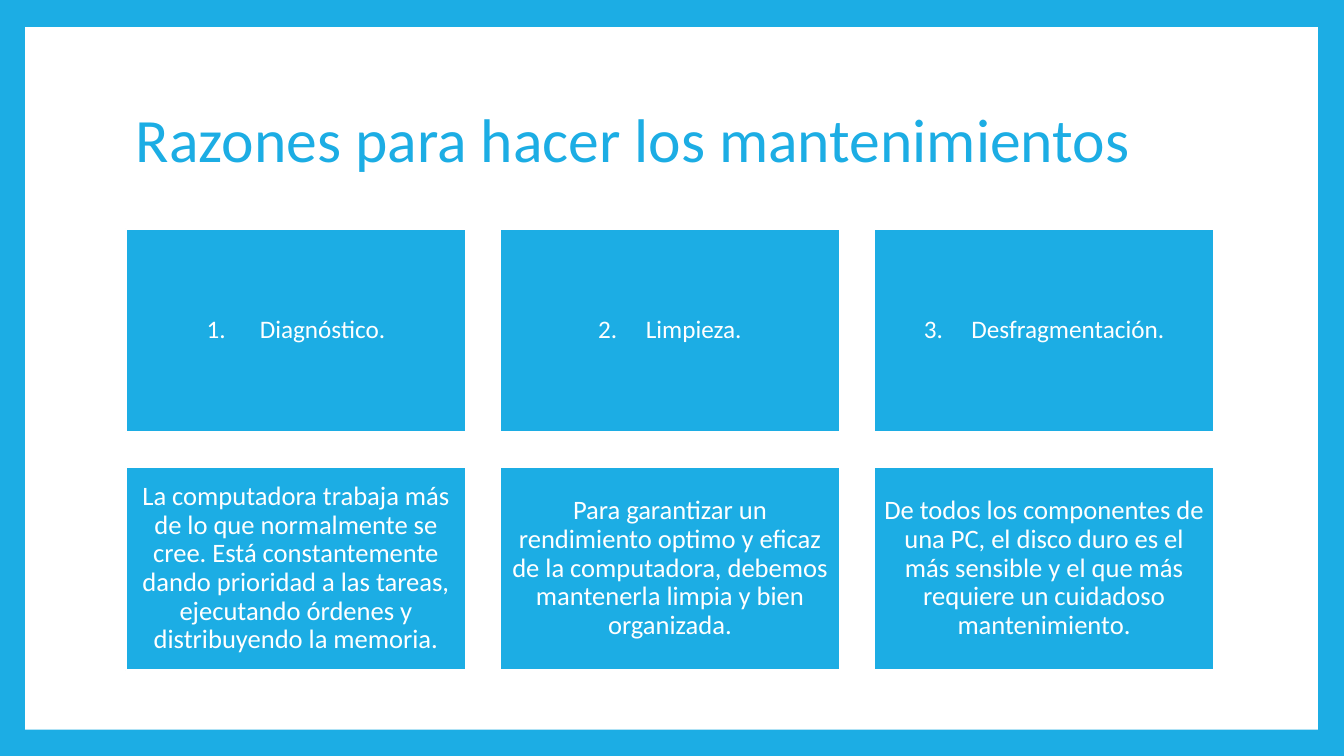
import pptx
import pptx.util
import pptx.dml.color
import pptx.enum.shapes
import pptx.enum.text

Inches, Pt = pptx.util.Inches, pptx.util.Pt
RGB = pptx.dml.color.RGBColor.from_string
ALIGN = pptx.enum.text.PP_ALIGN
MIDDLE = pptx.enum.text.MSO_ANCHOR.MIDDLE
RECT = pptx.enum.shapes.MSO_SHAPE.RECTANGLE

# Content: number, gap after the number in points, reason, explanation
TITLE = "Razones para hacer los mantenimientos"
REASONS = [
    ("1.", 20.3, "Diagnóstico.",
     "La computadora trabaja más de lo que normalmente se cree. Está constantemente "
     "dando prioridad a las tareas, ejecutando órdenes y distribuyendo la memoria."),
    ("2.", 16.3, "Limpieza.",
     "Para garantizar un rendimiento optimo y eficaz de la computadora, debemos "
     "mantenerla limpia y bien organizada."),
    ("3.", 16.3, "Desfragmentación.",
     "De todos los componentes de una PC, el disco duro es el más sensible y el que "
     "más requiere un cuidadoso mantenimiento."),
]

THEME = {
    "font": "Calibri", "blue": RGB("1CADE4"), "white": RGB("FFFFFF"),
    "title": Pt(44), "reason": Pt(18), "detail": Pt(19), "border": Pt(1.5),
}

# Layout in inches
PANEL = (0.25, 0.27, 12.82, 6.97)
TITLE_BOX = (1.25, 0.67, 10.8, 1.48)
LEFT, TOP, CARD_W, CARD_H = 1.25, 2.27, 3.37, 2.02
STEP_X, STEP_Y = 3.71, 2.36


def add_rect(s, box, fill):
    sp = s.shapes.add_shape(RECT, *map(Inches, box))
    sp.shadow.inherit = False
    sp.fill.solid()
    sp.fill.fore_color.rgb = fill
    sp.line.fill.background()
    return sp


def write(sp, pieces, size, color, align, inset):
    """Fill a shape with one paragraph of (text, letter spacing) pieces."""
    tf = sp.text_frame
    frame = {"word_wrap": True, "vertical_anchor": MIDDLE}
    for side in ("left", "right", "top", "bottom"):
        frame["margin_" + side] = Inches(inset)
    for name, value in frame.items():
        setattr(tf, name, value)
    p = tf.paragraphs[0]
    p.alignment, p.line_spacing = align, 0.9
    for text, spacing in pieces:
        r = p.add_run()
        r.text = text
        for name, value in {"name": THEME["font"], "size": size}.items():
            setattr(r.font, name, value)
        r.font.color.rgb = color
        if spacing:
            r._r.get_or_add_rPr().set("spc", str(round(spacing * 100)))


def add_card(s, column, row, pieces, size, inset):
    box = (LEFT + column * STEP_X, TOP + row * STEP_Y, CARD_W, CARD_H)
    sp = add_rect(s, box, THEME["blue"])
    sp.line.color.rgb = THEME["white"]
    sp.line.width = THEME["border"]
    write(sp, pieces, size, THEME["white"], ALIGN.CENTER, inset)


def main():
    prs = pptx.Presentation()
    prs.slide_width, prs.slide_height = Inches(13.33), Inches(7.5)
    s = prs.slides.add_slide(prs.slide_layouts[6])

    # Blue frame around a white panel
    s.background.fill.solid()
    s.background.fill.fore_color.rgb = THEME["blue"]
    add_rect(s, PANEL, THEME["white"])

    # Title
    title = s.shapes.add_textbox(*map(Inches, TITLE_BOX))
    write(title, [(TITLE, 0)], THEME["title"], THEME["blue"], ALIGN.LEFT, 0.1)

    # Reasons above, explanations below
    for column, (number, gap, reason, detail) in enumerate(REASONS):
        heading = [(number, 0), (" ", gap), (reason, 0)]
        add_card(s, column, 0, heading, THEME["reason"], 0.07)
        add_card(s, column, 1, [(detail, 0)], THEME["detail"], 0.08)

    prs.save("out.pptx")


if __name__ == "__main__":
    main()
